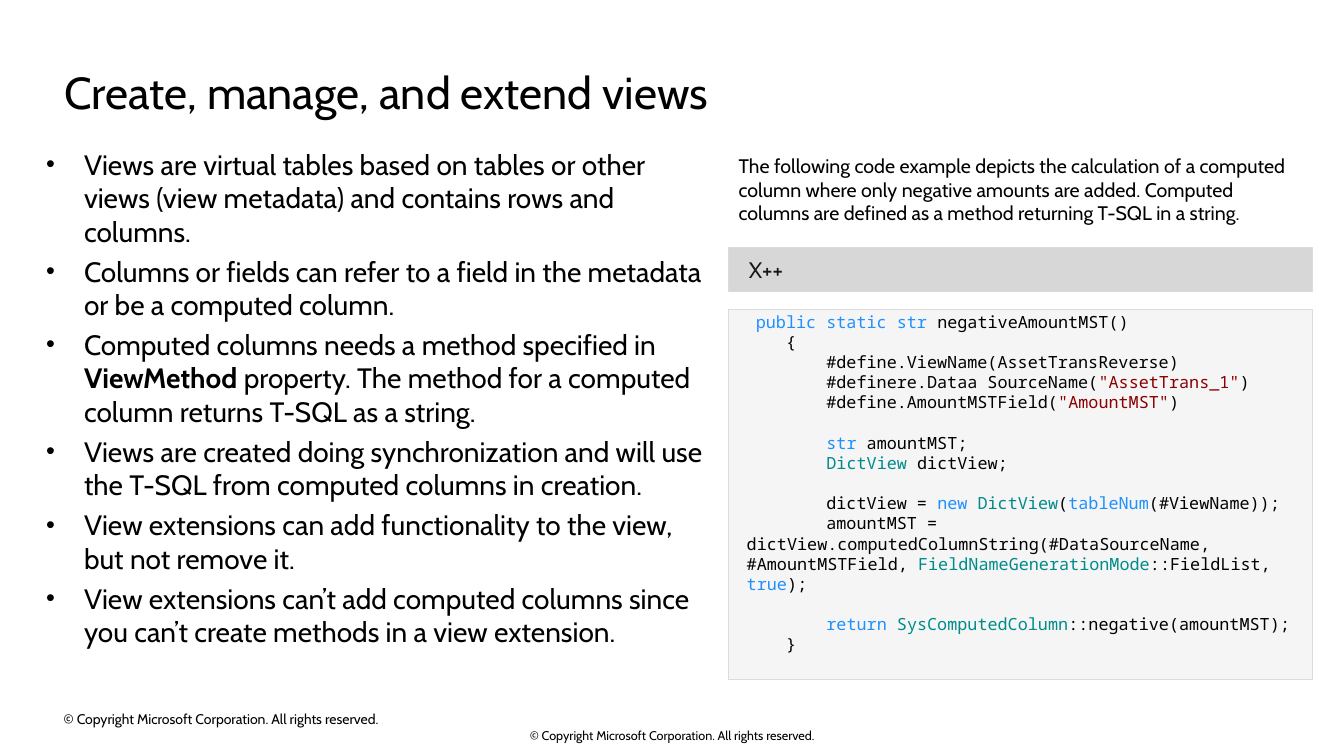
from lxml.etree import SubElement
from pptx import Presentation
from pptx.dml.color import RGBColor
from pptx.enum.shapes import MSO_SHAPE
from pptx.enum.text import MSO_ANCHOR, MSO_AUTO_SIZE, PP_ALIGN
from pptx.oxml.ns import qn
from pptx.util import Pt

COLORS = {
    "text": "000000",
    "label": "171717",
    "header": "D7D7D7",
    "panel": "F5F5F5",
    "border": "DCDCDC",
    "keyword": "1E90FF",
    "type": "008B8B",
    "string": "8B0000",
}
TEXT_FONT = "Cabin"
CODE_FONT = "Noto Sans Mono"
COPYRIGHT = "© Copyright Microsoft Corporation. All rights reserved."
PANEL_LEFT, PANEL_WIDTH = 520.5, 417

# Each bullet is a list of (text, bold) runs.
BULLETS = [
    [("Views are virtual tables based on tables or other views (view metadata) "
      "and contains rows and columns.", False)],
    [("Columns or fields can refer to a field in the metadata or be a computed column.", False)],
    [("Computed columns needs a method specified in ", False),
     ("ViewMethod", True),
     (" property. The method for a computed column returns T-SQL as a string.", False)],
    [("Views are created doing synchronization and will use the T-SQL from "
      "computed columns in creation.", False)],
    [("View extensions can add functionality to the view, but not remove it.", False)],
    [("View extensions can’t add computed columns since you can’t create "
      "methods in a view extension.", False)],
]

# Each code line is a list of (text, color name) runs.
CODE = [
    [(" ", "text"), ("public static str ", "keyword"), ("negativeAmountMST()", "text")],
    [("    {", "text")],
    [("        #define.ViewName(AssetTransReverse)", "text")],
    [("        #definere.Dataa SourceName(", "text"), ('"AssetTrans_1"', "string"), (")", "text")],
    [("        #define.AmountMSTField(", "text"), ('"AmountMST"', "string"), (")", "text")],
    [(" ", "text")],
    [("        ", "text"), ("str ", "keyword"), ("amountMST;", "text")],
    [("        ", "text"), ("DictView ", "type"), ("dictView;", "text")],
    [(" ", "text")],
    [("        dictView = ", "text"), ("new ", "keyword"), ("DictView", "type"), ("(", "text"),
     ("tableNum", "keyword"), ("(#ViewName));", "text")],
    [("        amountMST = dictView.computedColumnString(#DataSourceName, #AmountMSTField, ", "text"),
     ("FieldNameGenerationMode", "type"), ("::FieldList, ", "text"),
     ("true", "keyword"), (");", "text")],
    [(" ", "text")],
    [("        ", "text"), ("return ", "keyword"), ("SysComputedColumn", "type"),
     ("::negative(amountMST);", "text")],
    [("    }", "text")],
]


def color(name):
    return RGBColor.from_string(COLORS[name])


def place(shape, left, top, width, height):
    shape.left, shape.top = Pt(left), Pt(top)
    shape.width, shape.height = Pt(width), Pt(height)


def set_frame(shape, insets=(0, 0, 0, 0), anchor=MSO_ANCHOR.TOP):
    """Set wrapping, anchor and insets (left, top, right, bottom)."""
    frame = shape.text_frame
    frame.word_wrap = True
    frame.auto_size = MSO_AUTO_SIZE.NONE
    frame.vertical_anchor = anchor
    frame.margin_left, frame.margin_top, frame.margin_right, frame.margin_bottom = map(Pt, insets)
    return frame


def add_run(paragraph, text, size, font=TEXT_FONT, color_name="text", bold=False):
    run = paragraph.add_run()
    run.text = text
    run.font.name = font
    run.font.size = Pt(size)
    run.font.bold = bold
    run.font.color.rgb = color(color_name)


def write_line(frame, text, size, align=PP_ALIGN.LEFT, color_name="text"):
    paragraph = frame.paragraphs[0]
    paragraph.alignment = align
    add_run(paragraph, text, size, color_name=color_name)


def next_paragraph(frame, index):
    return frame.add_paragraph() if index else frame.paragraphs[0]


def set_indent(paragraph, left, first):
    properties = paragraph._p.get_or_add_pPr()
    properties.set("marL", str(Pt(left)))
    properties.set("indent", str(Pt(first)))
    return properties


def fill_bullets(frame):
    for index, runs in enumerate(BULLETS):
        paragraph = next_paragraph(frame, index)
        paragraph.space_before = Pt(4.4 if index else 0)
        properties = set_indent(paragraph, 27, -27)
        SubElement(properties, qn("a:buSzPct"), val="90000")
        SubElement(properties, qn("a:buFont"), typeface="Arial")
        SubElement(properties, qn("a:buChar"), char="•")
        for text, bold in runs:
            add_run(paragraph, text, 20, bold=bold)


def fill_code(frame):
    for index, runs in enumerate(CODE):
        paragraph = next_paragraph(frame, index)
        paragraph.alignment = PP_ALIGN.LEFT
        set_indent(paragraph, 1.4, -0.7)
        for text, color_name in runs:
            add_run(paragraph, text, 12, CODE_FONT, color_name)


def add_text(slide, box, text, size, align=PP_ALIGN.LEFT, **frame_format):
    shape = slide.shapes.add_textbox(*map(Pt, box))
    write_line(set_frame(shape, **frame_format), text, size, align)


def add_panel(slide, top, height, fill):
    shape = slide.shapes.add_shape(
        MSO_SHAPE.RECTANGLE, Pt(PANEL_LEFT), Pt(top), Pt(PANEL_WIDTH), Pt(height))
    shape.shadow.inherit = False
    shape.fill.solid()
    shape.fill.fore_color.rgb = color(fill)
    shape.line.color.rgb = color("border")
    shape.line.width = Pt(0.85)
    return shape


def main():
    presentation = Presentation()
    presentation.slide_width, presentation.slide_height = Pt(960), Pt(540)
    slide = presentation.slides.add_slide(presentation.slide_layouts[1])

    title = slide.shapes.title
    place(title, 46, 46, 821.5, 39)
    write_line(set_frame(title), "Create, manage, and extend views", 32)

    body = slide.placeholders[1]
    place(body, 33, 105, 479.5, 425.5)
    fill_bullets(set_frame(body))

    add_text(slide, (PANEL_LEFT, 106.5, PANEL_WIDTH, 75),
             "The following code example depicts the calculation of a computed column where only "
             "negative amounts are added. Computed columns are defined as a method returning "
             "T-SQL in a string.", 14, insets=(7.2, 3.6, 7.2, 3.6))

    header = add_panel(slide, 177, 31, "header")
    header_frame = set_frame(header, (14.4, 5.8, 7.2, 5.8), MSO_ANCHOR.MIDDLE)
    write_line(header_frame, "X++", 16, color_name="label")

    code_panel = add_panel(slide, 221, 264.5, "panel")
    fill_code(set_frame(code_panel, (11.5, 1.5, 11.5, 1.5)))

    add_text(slide, (45.5, 505.5, 327, 16), COPYRIGHT, 10, anchor=MSO_ANCHOR.MIDDLE)
    add_text(slide, (318, 520, 324, 11), COPYRIGHT, 9, PP_ALIGN.CENTER, anchor=MSO_ANCHOR.MIDDLE)

    presentation.save("out.pptx")


if __name__ == "__main__":
    main()
